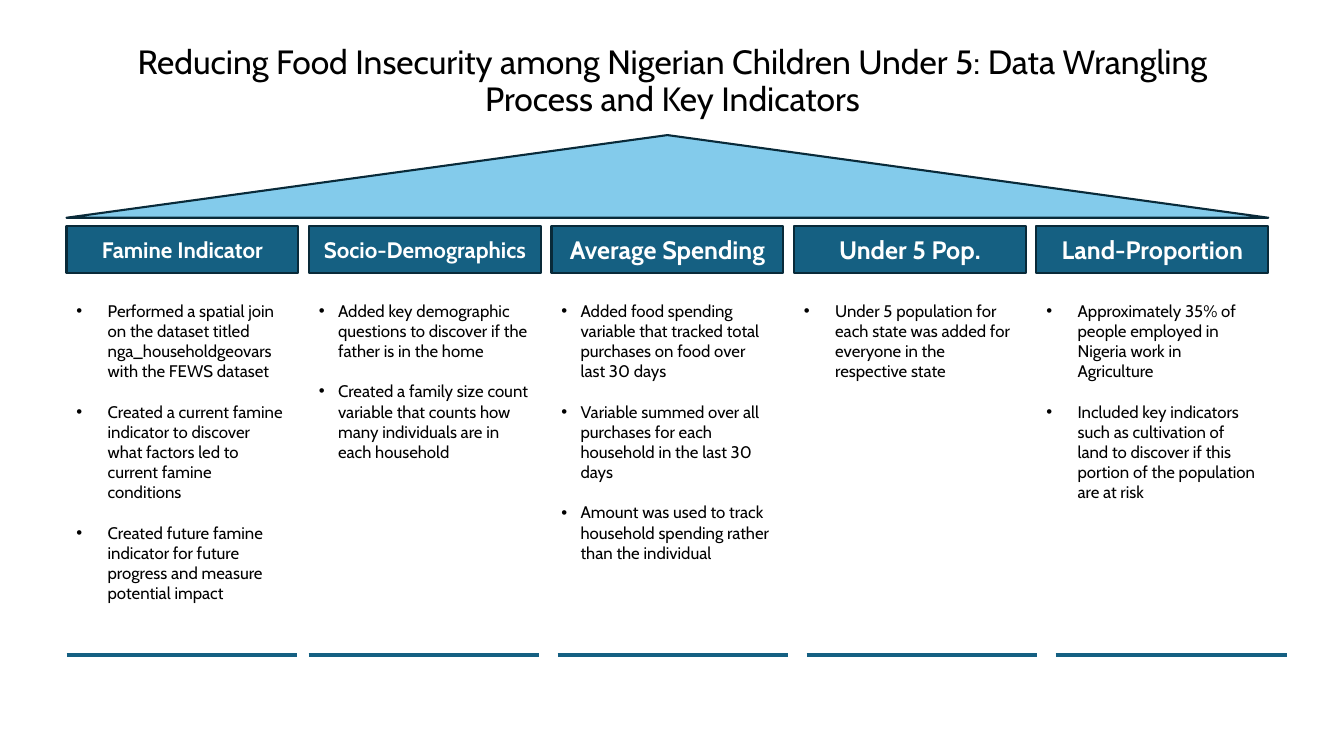
from pptx import Presentation
from pptx.dml.color import RGBColor
from pptx.enum.shapes import MSO_CONNECTOR, MSO_SHAPE
from pptx.enum.text import MSO_ANCHOR, PP_ALIGN
from pptx.oxml.ns import qn
from pptx.util import Inches, Pt
from lxml import etree

CENTER, MIDDLE = PP_ALIGN.CENTER, MSO_ANCHOR.MIDDLE
TRIANGLE, RECTANGLE = MSO_SHAPE.ISOSCELES_TRIANGLE, MSO_SHAPE.RECTANGLE
STRAIGHT = MSO_CONNECTOR.STRAIGHT

FONT = "Cabin"
BLACK = RGBColor(0x00, 0x00, 0x00)
WHITE = RGBColor(0xFF, 0xFF, 0xFF)
ROOF_BLUE = RGBColor(0x83, 0xCB, 0xEB)
PILLAR_BLUE = RGBColor(0x15, 0x60, 0x82)
OUTLINE = RGBColor(0x09, 0x2A, 0x39)

TITLE = ("Reducing Food Insecurity among Nigerian Children Under 5: "
         "Data Wrangling Process and Key Indicators")

# Heading, heading size, bullet indent, left end of base line, bullets
PILLARS = [
    ("Famine Indicator", 16, 0.31, 0.66, [
        "Performed a spatial join on the dataset titled nga_householdgeovars "
        "with the FEWS dataset",
        "Created a current famine indicator to discover what factors led to "
        "current famine conditions",
        "Created future famine indicator for future progress and measure "
        "potential impact"]),
    ("Socio-Demographics", 16, 0.19, 3.06, [
        "Added key demographic questions to discover if the father is in the home",
        "Created a family size count variable that counts how many individuals "
        "are in each household"]),
    ("Average Spending", 18, 0.19, 5.53, [
        "Added food spending variable that tracked total purchases on food over "
        "last 30 days",
        "Variable summed over all purchases for each household in the last 30 days",
        "Amount was used to track household spending rather than the individual"]),
    ("Under 5 Pop.", 18, 0.31, 8, [
        "Under 5 population for each state was added for everyone in the "
        "respective state"]),
    ("Land-Proportion", 18, 0.31, 10.47, [
        "Approximately 35% of people employed in Nigeria work in Agriculture",
        "Included key indicators such as cultivation of land to discover if this "
        "portion of the population are at risk"]),
]

LEFT, TOP, WIDTH = 0.66, 2.24, 2.3
SPAN = 11.92
HEADING_HEIGHT = 0.47
BASE_HEIGHT = 4.26
PITCH = (SPAN - WIDTH) / (len(PILLARS) - 1)


def set_font(paragraph, size, color, bold=False):
    font = paragraph.font
    font.name, font.size, font.bold = FONT, Pt(size), bold
    font.color.rgb = color


def add_outlined(slide, kind, left, top, width, height, fill):
    shape = slide.shapes.add_shape(
        kind, Inches(left), Inches(top), Inches(width), Inches(height))
    shape.shadow.inherit = False
    shape.fill.solid()
    shape.fill.fore_color.rgb = fill
    shape.line.color.rgb = OUTLINE
    shape.line.width = Pt(1.5)
    return shape


def add_title(slide, left, top, width, height):
    title = slide.shapes.add_textbox(
        Inches(left), Inches(top), Inches(width), Inches(height)).text_frame
    title.word_wrap = True
    title.vertical_anchor = MIDDLE
    paragraph = title.paragraphs[0]
    paragraph.text = TITLE
    paragraph.alignment = CENTER
    paragraph.line_spacing = 0.9
    set_font(paragraph, 24, BLACK)


def add_bullets(slide, left, top, width, height, indent, bullets):
    body = slide.shapes.add_textbox(
        Inches(left), Inches(top), Inches(width), Inches(height)).text_frame
    body.word_wrap = True
    for number, bullet in enumerate(bullets):
        paragraph = body.add_paragraph() if number else body.paragraphs[0]
        paragraph.text = bullet
        if number:
            paragraph.space_before = Pt(14.5)
        set_font(paragraph, 12, BLACK)
        properties = paragraph._p.get_or_add_pPr()
        properties.set("marL", str(Inches(indent)))
        properties.set("indent", str(-Inches(indent)))
        marker_font = etree.Element(qn("a:buFont"), typeface="Arial")
        marker = etree.Element(qn("a:buChar"), char="•")
        defaults = properties.find(qn("a:defRPr"))
        defaults.addprevious(marker_font)
        defaults.addprevious(marker)


def add_pillar(slide, left, top, width, pillar):
    heading, size, indent, base_left, bullets = pillar

    # Heading block
    block = add_outlined(slide, RECTANGLE, left, top, width, HEADING_HEIGHT,
                         PILLAR_BLUE).text_frame
    block.vertical_anchor = MIDDLE
    paragraph = block.paragraphs[0]
    paragraph.text = heading
    paragraph.alignment = CENTER
    set_font(paragraph, size, WHITE, bold=True)

    # Body
    add_bullets(slide, left, top + 0.69, width, 3.53, indent, bullets)

    # Base line
    base_y = Inches(top + BASE_HEIGHT)
    base = slide.shapes.add_connector(
        STRAIGHT, Inches(base_left), base_y, Inches(base_left + 2.29), base_y)
    base.line.color.rgb = PILLAR_BLUE
    base.line.width = Pt(3)
    etree.SubElement(base._element.spPr, qn("a:effectLst"))


def main():
    prs = Presentation()
    prs.slide_width, prs.slide_height = Inches(13.33), Inches(7.5)
    slide = prs.slides.add_slide(prs.slide_layouts[6])

    add_title(slide, 0.92, 0.09, 11.5, 1.45)
    add_outlined(slide, TRIANGLE, LEFT, 1.34, SPAN, 0.82, ROOF_BLUE)
    for column, pillar in enumerate(PILLARS):
        add_pillar(slide, LEFT + column * PITCH, TOP, WIDTH, pillar)

    prs.save("out.pptx")


if __name__ == "__main__":
    main()
